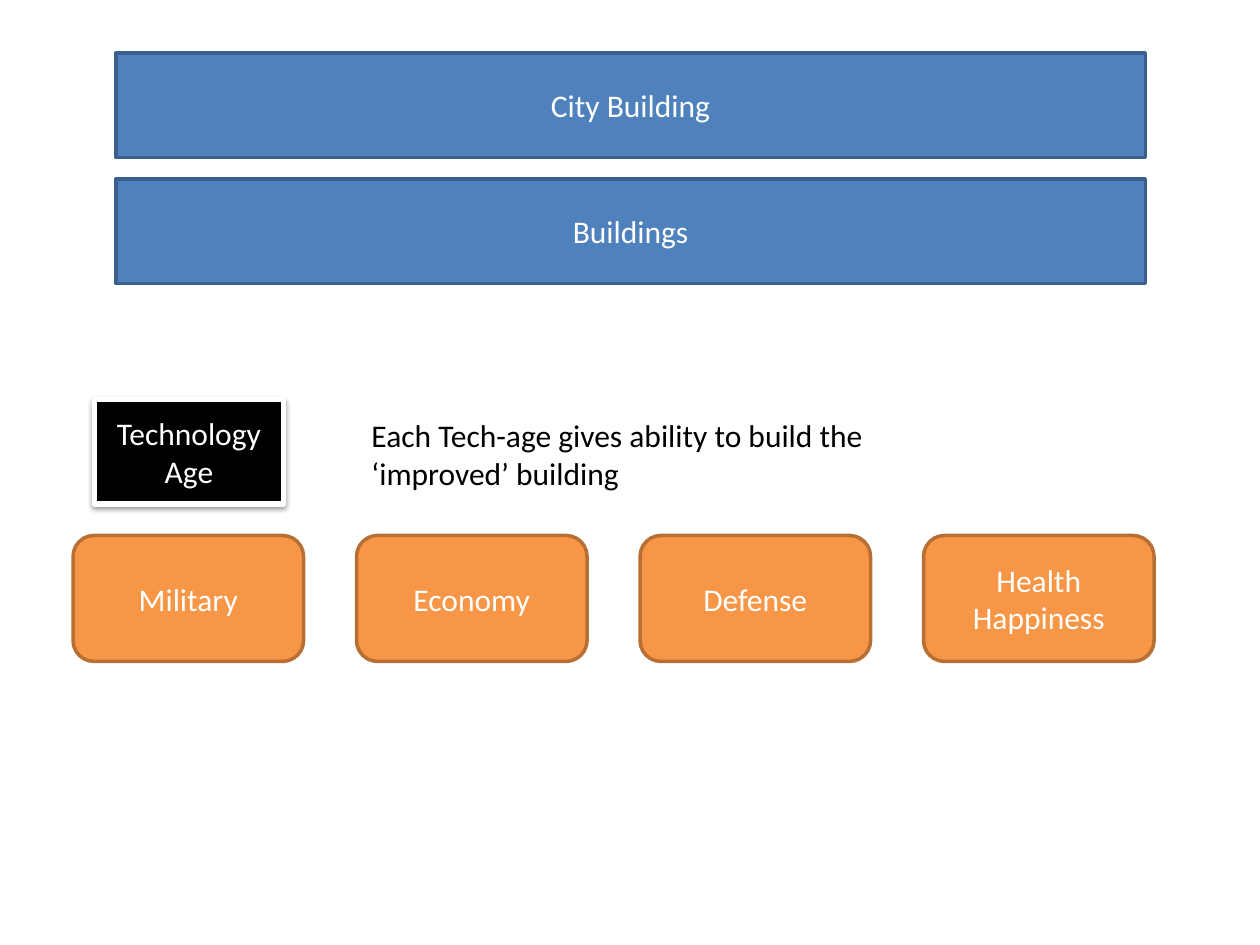
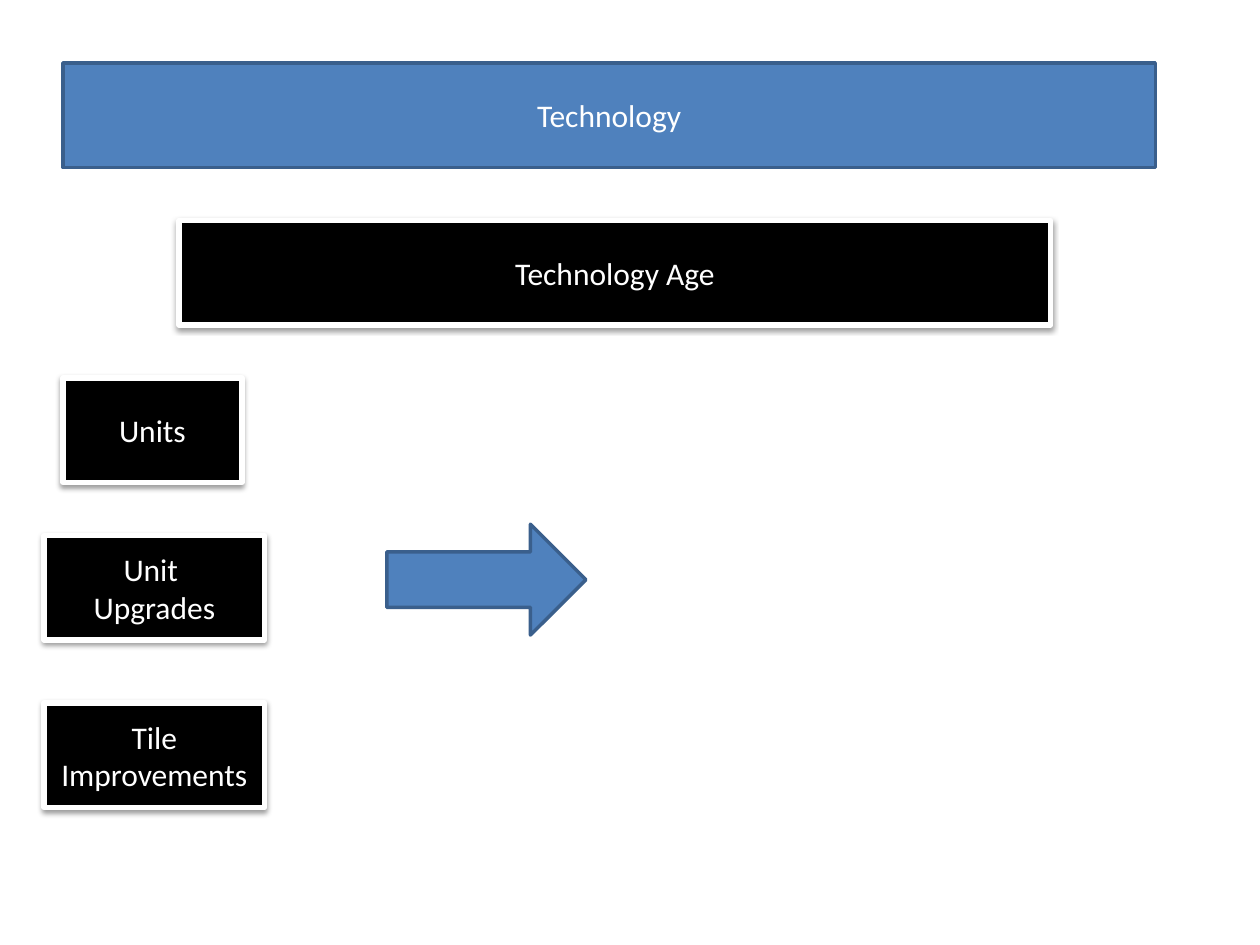
"""Build two slides on city buildings and technology ages."""
from dataclasses import dataclass

from lxml.etree import SubElement
from pptx import Presentation
from pptx.dml.color import RGBColor
from pptx.enum.shapes import MSO_SHAPE as SHAPE
from pptx.enum.text import MSO_ANCHOR as ANCHOR, PP_ALIGN as ALIGN
from pptx.oxml.ns import qn
from pptx.util import Inches, Pt


@dataclass(frozen=True)
class Style:
    fill: str
    line: str
    width: int
    shadow: bool = False


@dataclass(frozen=True)
class Theme:
    font: str = "Calibri"
    size: int = 18
    light: str = "FFFFFF"
    dark: str = "000000"
    band: Style = Style("4F81BD", "3A5F8C", 2)
    category: Style = Style("F79646", "B76F34", 2)
    age: Style = Style("000000", "FFFFFF", 3, shadow=True)


theme = Theme()
BAR_H = 0.83


def write(sp, text, color, align):
    tf = sp.text_frame
    tf.word_wrap = True
    tf.text = text
    for p in tf.paragraphs:
        p.alignment = align
        for r in p.runs:
            r.font.name = theme.font
            r.font.size = Pt(theme.size)
            r.font.color.rgb = RGBColor.from_string(color)


def add_box(slide, style, x, y, w, h=BAR_H, text="", shape=SHAPE.RECTANGLE):
    sp = slide.shapes.add_shape(shape, Inches(x), Inches(y), Inches(w), Inches(h))
    sp.fill.solid()
    sp.fill.fore_color.rgb = RGBColor.from_string(style.fill)
    sp.line.color.rgb = RGBColor.from_string(style.line)
    sp.line.width = Pt(style.width)
    sp.shadow.inherit = False
    if style.shadow:
        effects = sp.element.spPr.find(qn("a:effectLst"))
        shadow = SubElement(effects, qn("a:outerShdw"), blurRad=str(Pt(3.1)),
                            dist=str(Pt(1.6)), dir="5400000", rotWithShape="0")
        color = SubElement(shadow, qn("a:srgbClr"), val=theme.dark)
        SubElement(color, qn("a:alpha"), val="38000")
    if text:
        write(sp, text, theme.light, ALIGN.CENTER)
        sp.text_frame.vertical_anchor = ANCHOR.MIDDLE
    return sp


prs = Presentation()
prs.slide_width, prs.slide_height = Inches(10), Inches(7.5)
blank = prs.slide_layouts[6]

city = prs.slides.add_slide(blank)
for i, text in enumerate(["City Building", "Buildings"]):
    add_box(city, theme.band, 0.92, 0.42 + i, 8.17, text=text)
for i, text in enumerate(["Military", "Economy", "Defense", "Health\nHappiness"]):
    add_box(city, theme.category, 0.58 + 2.25 * i, 4.25, 1.83, 1, text,
            SHAPE.ROUNDED_RECTANGLE)
add_box(city, theme.age, 0.75, 3.17, 1.5, text="Technology Age")
note = city.shapes.add_textbox(Inches(2.85), Inches(3.25), Inches(4.5), Inches(0.71))
write(note, "Each Tech-age gives ability to build the ‘improved’ building",
      theme.dark, ALIGN.LEFT)

tech = prs.slides.add_slide(blank)
add_box(tech, theme.band, 0.5, 0.5, 8.67, text="Technology")
add_box(tech, theme.age, 1.42, 1.75, 6.92, text="Technology Age")
for x, y, w, text in [(0.5, 3, 1.42, "Units"),
                      (0.35, 4.25, 1.75, "Unit \nUpgrades"),
                      (0.35, 5.58, 1.75, "Tile\nImprovements")]:
    add_box(tech, theme.age, x, y, w, text=text)
arrow = add_box(tech, theme.band, 3.42, 3.81, 0.88, 1.58, shape=SHAPE.DOWN_ARROW)
arrow.rotation = 270

prs.save("out.pptx")
